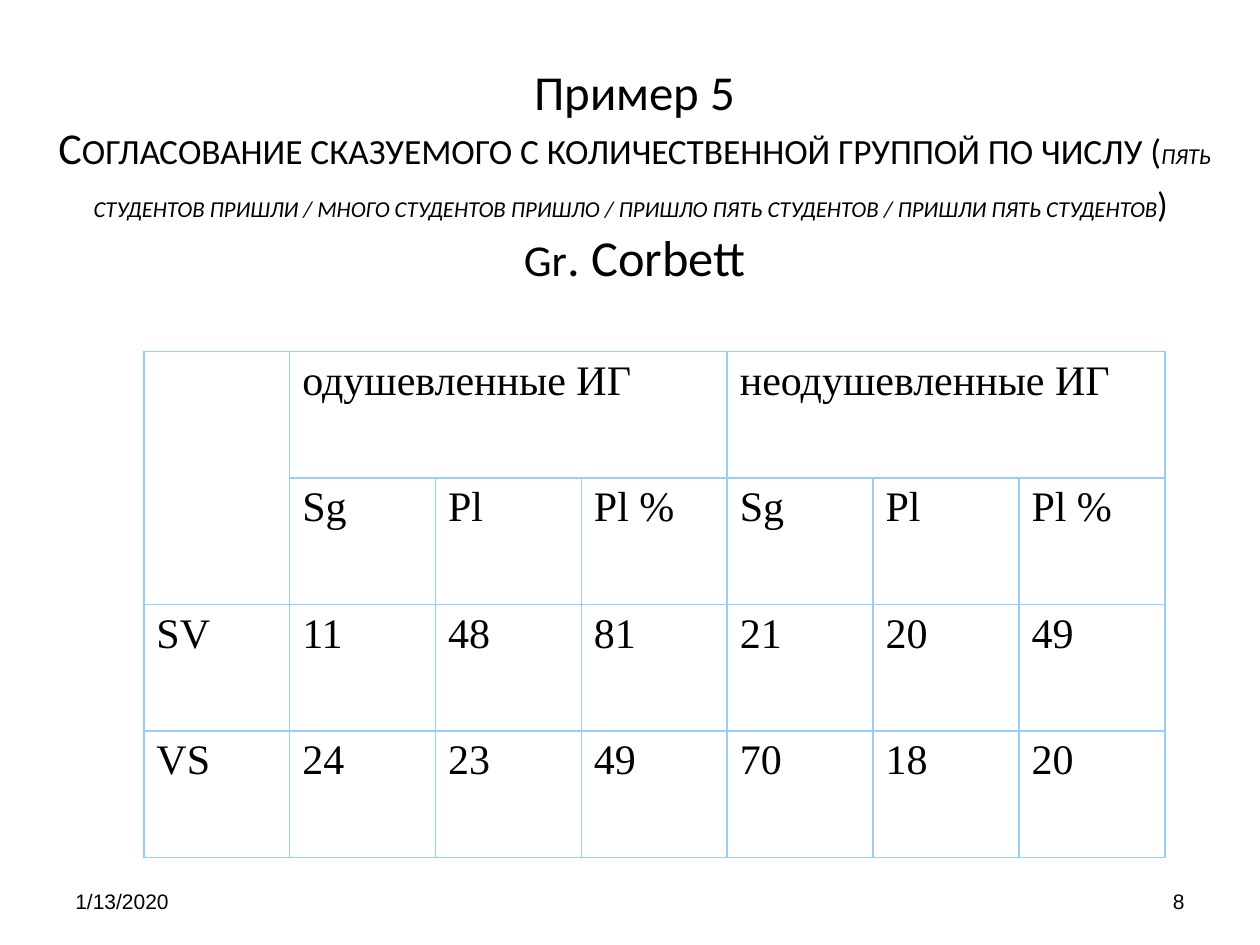
from dataclasses import dataclass

import lxml.etree
import pptx
import pptx.dml.color
import pptx.enum.text
import pptx.oxml.ns
import pptx.util

Cm = pptx.util.Cm
ALIGN = pptx.enum.text.PP_ALIGN
COLORS = {"text": "000000", "border": "99CCFF"}
BORDER_SIDES = ("a:lnL", "a:lnR", "a:lnT", "a:lnB")
BORDER_WIDTH = pptx.util.Pt(1)
COLUMN_WIDTH, ROW_HEIGHT = Cm(2.94), Cm(2.55)


@dataclass
class Piece:
    text: str
    size: float
    font: str
    italic: bool = False
    small_caps: bool = False
    breaks_after: bool = False


@dataclass
class Caption:
    left: float
    top: float
    width: float
    height: float
    align: ALIGN
    pieces: list[Piece]


CAPTIONS = [
    Caption(0.69, 1.93, 24.21, 3.18, ALIGN.CENTER, [
        Piece("Пример 5", 27.9, "Calibri", breaks_after=True),
        Piece("Согласование сказуемого с количественной группой по числу (",
              25.2, "Calibri", small_caps=True),
        Piece("пять студентов пришли / много студентов пришло / "
              "пришло пять студентов / пришли пять студентов",
              16.2, "Calibri", italic=True, small_caps=True),
        Piece(") ", 25.2, "Calibri", small_caps=True, breaks_after=True),
        Piece("Gr", 25.2, "Calibri"),
        Piece(". Corbett", 28.8, "Calibri"),
    ]),
    Caption(1.27, 17.65, 5.92, 1.02, ALIGN.LEFT, [Piece("1/13/2020", 12, "Arial")]),
    Caption(18.21, 17.65, 5.92, 1.02, ALIGN.RIGHT, [Piece("8", 12, "Arial")]),
]

AGREEMENT_ROWS = [
    ["", "одушевленные ИГ", "", "", "неодушевленные ИГ", "", ""],
    [""] + ["Sg", "Pl", "Pl %"] * 2,
    ["SV", "11", "48", "81", "21", "20", "49"],
    ["VS", "24", "23", "49", "70", "18", "20"],
]
MERGES = [((0, 0), (1, 0)), ((0, 1), (0, 3)), ((0, 4), (0, 6))]


def add_piece(paragraph, piece: Piece) -> None:
    run = paragraph.add_run()
    run.text = piece.text
    formats = {
        "size": pptx.util.Pt(piece.size),
        "name": piece.font,
        "italic": piece.italic,
        "bold": False,
    }
    for attribute, value in formats.items():
        setattr(run.font, attribute, value)
    run.font.color.rgb = pptx.dml.color.RGBColor.from_string(COLORS["text"])
    if piece.small_caps:
        run._r.get_or_add_rPr().set("cap", "small")
    if piece.breaks_after:
        paragraph.add_line_break()


def add_caption(slide, caption: Caption) -> None:
    frame = slide.shapes.add_textbox(
        Cm(caption.left), Cm(caption.top), Cm(caption.width), Cm(caption.height)
    ).text_frame
    formats = {
        "word_wrap": True,
        "auto_size": pptx.enum.text.MSO_AUTO_SIZE.NONE,
        "vertical_anchor": pptx.enum.text.MSO_ANCHOR.MIDDLE,
    }
    for attribute, value in formats.items():
        setattr(frame, attribute, value)
    paragraph = frame.paragraphs[0]
    paragraph.alignment = caption.align
    for piece in caption.pieces:
        add_piece(paragraph, piece)


def set_borders(cell) -> None:
    qn = pptx.oxml.ns.qn
    properties = cell._tc.get_or_add_tcPr()
    for position, side in enumerate(BORDER_SIDES):
        border = lxml.etree.Element(qn(side), w=str(BORDER_WIDTH))
        fill = lxml.etree.SubElement(border, qn("a:solidFill"))
        lxml.etree.SubElement(fill, qn("a:srgbClr"), val=COLORS["border"])
        properties.insert(position, border)


def add_agreement_table(slide) -> None:
    row_count, column_count = len(AGREEMENT_ROWS), len(AGREEMENT_ROWS[0])
    table = slide.shapes.add_table(
        row_count, column_count, Cm(2.9), Cm(7.09),
        COLUMN_WIDTH * column_count, ROW_HEIGHT * row_count,
    ).table
    for attribute, value in {"first_row": False, "horz_banding": False}.items():
        setattr(table, attribute, value)
    for row_index, row in enumerate(AGREEMENT_ROWS):
        for column_index, text in enumerate(row):
            cell = table.cell(row_index, column_index)
            cell.fill.background()
            set_borders(cell)
            if text:
                add_piece(cell.text_frame.paragraphs[0],
                          Piece(text, 24, "Times New Roman"))
    for first, last in MERGES:
        table.cell(*first).merge(table.cell(*last))


def main() -> None:
    presentation = pptx.Presentation()
    presentation.slide_width = Cm(25.4)
    presentation.slide_height = Cm(19.05)
    slide = presentation.slides.add_slide(presentation.slide_layouts[6])
    for caption in CAPTIONS:
        add_caption(slide, caption)
    add_agreement_table(slide)
    presentation.save("out.pptx")


if __name__ == "__main__":
    main()
